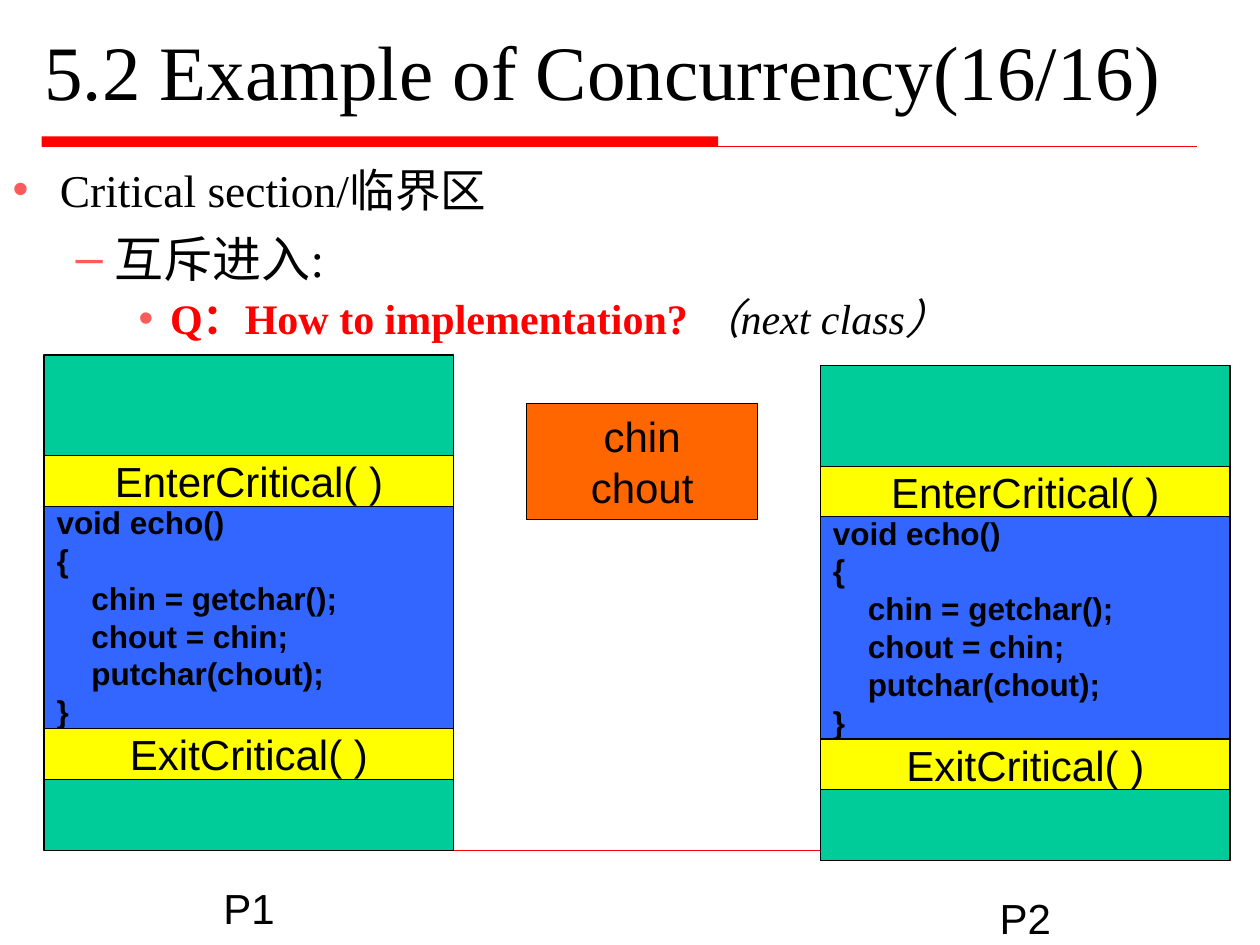
"""Build the slide on mutual exclusion in a critical section."""
from lxml import etree
from pptx import Presentation
from pptx import util as u
from pptx.dml.color import RGBColor
from pptx.enum import shapes, text
from pptx.oxml.ns import qn

RECT = shapes.MSO_SHAPE.RECTANGLE
LEFT, MID = text.PP_ALIGN.LEFT, text.PP_ALIGN.CENTER


def tint(code):
    return RGBColor.from_string(code)


def box(home, area, fill, words, look, align=MID):
    rect = home.add_shape(RECT, *map(u.Cm, area))
    rect.shadow.inherit = False
    if fill:
        rect.fill.solid()
        rect.fill.fore_color.rgb = tint(fill)
        rect.line.color.rgb = tint("000000")
        rect.line.width = u.Pt(0.75)
    else:
        rect.fill.background()
        rect.line.fill.background()
    frame = rect.text_frame
    frame.word_wrap = True
    frame.vertical_anchor = text.MSO_ANCHOR.MIDDLE
    for num, line in enumerate(words):
        para = frame.paragraphs[0] if num == 0 else frame.add_paragraph()
        para.alignment = align
        run = para.add_run()
        run.text = line
        run.font.color.rgb = tint("000000")
        for key, val in look.items():
            setattr(run.font, key, val)
    return rect


deck = Presentation()
deck.slide_width, deck.slide_height = u.Cm(25.4), u.Cm(19.05)
page = deck.slides.add_slide(deck.slide_layouts[1])
items = page.shapes

bar = box(items, (0.84, 2.75, 13.64, 0.21), "FF0000", [], {})
bar.line.fill.background()
for x, end, y, size in [(0.84, 24.13, 2.96, 0.75), (1.06, 23.92, 17.15, 0.25)]:
    rule = items.add_connector(shapes.MSO_CONNECTOR.STRAIGHT,
                               u.Cm(x), u.Cm(y), u.Cm(end), u.Cm(y))
    rule.line.color.rgb = tint("FF0000")
    rule.line.width = u.Pt(size)
    etree.SubElement(rule._element.spPr, qn("a:effectLst"))

title, body = items.title, page.placeholders[1]
for hold, area, anchor in [
    (title, (0.64, 0.42, 23.71, 2.33), text.MSO_ANCHOR.MIDDLE),
    (body, (0, 3.13, 24.13, 13.89), text.MSO_ANCHOR.TOP),
]:
    hold.left, hold.top, hold.width, hold.height = map(u.Cm, area)
    hold.text_frame.auto_size = text.MSO_AUTO_SIZE.NONE
    hold.text_frame.vertical_anchor = anchor

plain = {"name": "Times New Roman", "bold": False, "italic": False}
lines = [
    (title, 0, 0, 0.8, 44, [("5.2 Example of Concurrency(16/16)", "000000", {})]),
    (body, 0, 0, 1.0, 26, [("Critical section/临界区", "000000", {})]),
    (body, 1, 7, 1.0, 28, [("互斥进入:", "000000", {})]),
    (body, 2, 6, 0.9, 24, [
        ("Q：How to implementation? ", "FF0000", {"bold": True}),
        ("（next class）", "000000", {"italic": True}),
    ]),
]
for hold, level, gap, pitch, size, runs in lines:
    frame = hold.text_frame
    para = frame.add_paragraph() if level else frame.paragraphs[0]
    form = {"level": level, "alignment": LEFT, "line_spacing": pitch,
            "space_before": u.Pt(gap)}
    for key, val in form.items():
        setattr(para, key, val)
    if hold is body:
        mark = etree.SubElement(para._p.get_or_add_pPr(), qn("a:buClr"))
        etree.SubElement(mark, qn("a:srgbClr"), val="FB5B5B")
    for words, ink, extra in runs:
        run = para.add_run()
        run.text = words
        run.font.color.rgb = tint(ink)
        for key, val in {**plain, "size": u.Pt(size), **extra}.items():
            setattr(run.font, key, val)

large = {"name": "Arial", "size": u.Pt(24)}
small = {"name": "Arial", "size": u.Pt(18), "bold": True}
code = ["void echo()", "{", "    chin = getchar();", "    chout = chin;",
        "    putchar(chout);", "}"]
parts = [
    (0, 9.98, "00CC99", [], large, MID),
    (2.92, 4.7, "3366FF", code, small, LEFT),
    (2.03, 1.02, "FFFF00", ["EnterCritical( )"], large, MID),
    (7.53, 1.02, "FFFF00", ["ExitCritical( )"], large, MID),
]
for name, x, y in [("P1", 0.89, 7.16), ("P2", 16.54, 7.37)]:
    group = items.add_group_shape()
    for drop, tall, fill, words, look, align in parts:
        box(group.shapes, (x, y + drop, 8.26, tall), fill, words, look, align)
    box(group.shapes, (x, y + 10.53, 8.26, 1.2), None, [name], large)

box(items, (10.62, 8.13, 4.65, 2.34), "FF6600", ["chin", "chout"], large)

deck.save("out.pptx")
